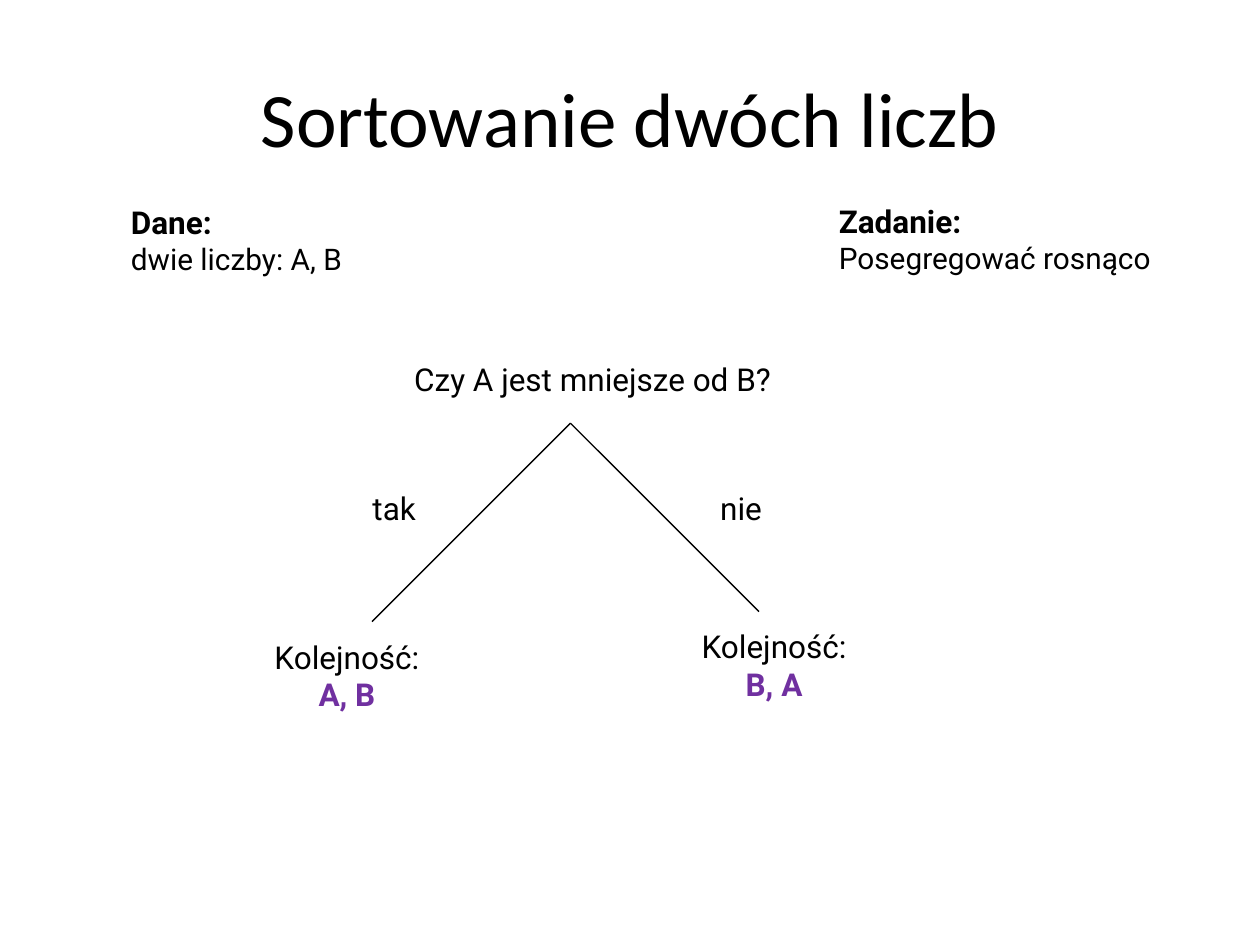
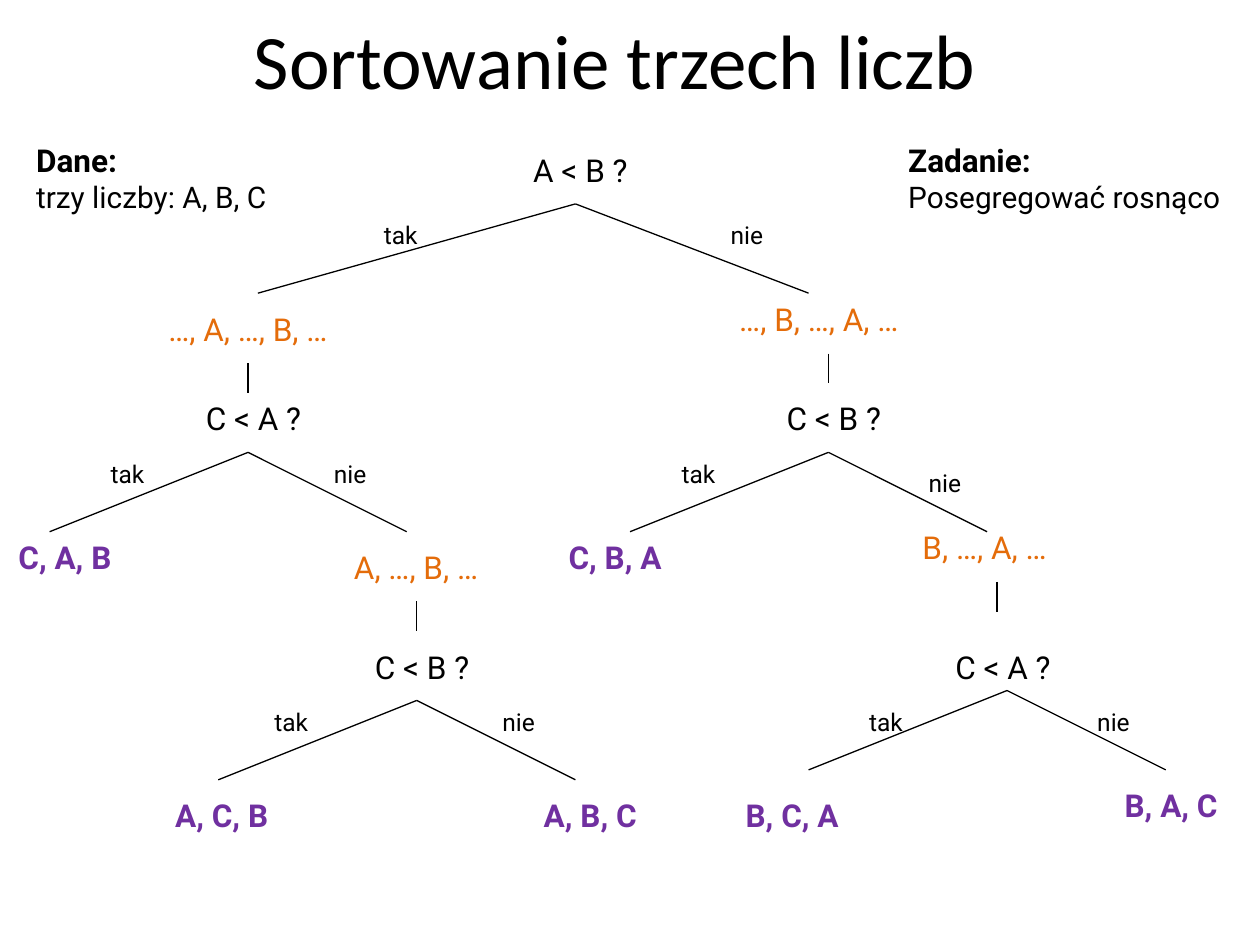
"""Build two slides with decision trees for sorting two and three numbers."""
from dataclasses import dataclass

from lxml import etree
from pptx import Presentation
from pptx.dml.color import RGBColor
from pptx.enum.shapes import MSO_CONNECTOR
from pptx.enum.text import MSO_ANCHOR, PP_ALIGN
from pptx.oxml.ns import qn
from pptx.util import Cm, Pt

STRAIGHT = MSO_CONNECTOR.STRAIGHT
MIDDLE, TOP = MSO_ANCHOR.MIDDLE, MSO_ANCHOR.TOP
LEFT, CENTER = PP_ALIGN.LEFT, PP_ALIGN.CENTER


@dataclass(frozen=True)
class Theme:
    title_font: str = "Calibri"
    body_font: str = "Roboto"
    ink: RGBColor = RGBColor(0x00, 0x00, 0x00)
    partial: RGBColor = RGBColor(0xE4, 0x6C, 0x0A)
    result: RGBColor = RGBColor(0x70, 0x30, 0xA0)
    title_size: int = 44
    body_size: int = 18
    detail_size: int = 17
    label_size: int = 14
    line_width: float = 0.75


theme = Theme()


def add_text(page, area, lines, align=LEFT, font=theme.body_font, anchor=TOP):
    box = page.shapes.add_textbox(*[Cm(length) for length in area])
    frame = box.text_frame
    frame.word_wrap = False
    frame.vertical_anchor = anchor
    frame.text = "\n".join(line[0] for line in lines)
    for para, (_, size, color, bold) in zip(frame.paragraphs, lines):
        para.alignment = align
        for span in para.runs:
            span.font.name = font
            span.font.size = Pt(size)
            span.font.color.rgb = color
            span.font.bold = bold


def add_line(page, start_x, start_y, end_x, end_y):
    line = page.shapes.add_connector(
        STRAIGHT, Cm(start_x), Cm(start_y), Cm(end_x), Cm(end_y))
    line.line.color.rgb = theme.ink
    line.line.width = Pt(theme.line_width)
    etree.SubElement(line._element.spPr, qn("a:effectLst"))


deck = Presentation()
deck.slide_width = Cm(25.4)
deck.slide_height = Cm(19.05)

headers = [
    ("Sortowanie dwóch liczb", 1.27, 0.76, [
        ("Dane:", "dwie liczby: A, B", 2.39, 3.96, 4.95),
        ("Zadanie:", "Posegregować rosnąco", 16.66, 3.94, 7.06)]),
    ("Sortowanie trzech liczb", 0.97, -0.41, [
        ("Dane:", "trzy liczby: A, B, C", 0.48, 2.72, 5.38),
        ("Zadanie:", "Posegregować rosnąco", 18.06, 2.72, 7.06)]),
]
pages = []
for title, title_left, title_top, notes in headers:
    page = deck.slides.add_slide(deck.slide_layouts[6])
    pages.append(page)
    add_text(page, (title_left, title_top, 22.86, 3.18),
             [(title, theme.title_size, theme.ink, False)],
             CENTER, theme.title_font, MIDDLE)
    for heading, detail, left, top, width in notes:
        add_text(page, (left, top, width, 1.75),
                 [(heading, theme.body_size, theme.ink, True),
                  (detail, theme.detail_size, theme.ink, False)])
two_numbers, three_numbers = pages

add_text(two_numbers, (8.1, 7.14, 8.2, 1.02),
         [("Czy A jest mniejsze od B?", theme.body_size, theme.ink, False)])
two_number_branches = [
    ("tak", 7.26, -4, 4, "A, B", 5.23, 12.73),
    ("nie", 14.27, 3.8, 3.8, "B, A", 13.84, 12.52),
]
for answer, answer_left, reach, drop, order, order_left, order_top in two_number_branches:
    add_line(two_numbers, 11.5, 8.53, 11.5 + reach, 8.53 + drop)
    add_text(two_numbers, (answer_left, 9.73, 1.42, 1.02),
             [(answer, theme.body_size, theme.ink, False)])
    add_text(two_numbers, (order_left, order_top, 3.53, 2.54),
             [("Kolejność:", theme.body_size, theme.ink, False),
              (order, theme.body_size, theme.result, True)], CENTER)

for reach in (-6.4, 4.7):
    add_line(three_numbers, 11.6, 4.11, 11.6 + reach, 5.91)
for fork_x, fork_y in [(5, 9.12), (16.7, 9.12), (8.4, 14.12), (20.3, 13.92)]:
    for reach in (-4, 3.2):
        add_line(three_numbers, fork_x, fork_y, fork_x + reach, fork_y + 1.6)
for stem_x, stem_y in [(5, 7.32), (16.7, 7.13), (8.4, 12.12), (20.1, 11.73)]:
    add_line(three_numbers, stem_x, stem_y, stem_x, stem_y + 0.6)

questions = [
    ("A < B ?", 11.7, 2.92), ("C < A ?", 5.11, 7.92), ("C < B ?", 16.81, 7.92),
    ("C < B ?", 8.51, 12.93), ("C < A ?", 20.22, 12.93),
]
partial_orders = [
    ("…, A, …, B, …", 5, 6.12), ("…, B, …, A, …", 16.51, 5.92),
    ("A, …, B, …", 8.39, 10.92), ("B, …, A, …", 19.85, 10.52),
]
final_orders = [
    ("C, A, B", 1.31, 10.72), ("C, B, A", 12.4, 10.72), ("A, C, B", 4.47, 15.93),
    ("A, B, C", 11.9, 15.93), ("B, C, A", 15.97, 15.93), ("B, A, C", 23.61, 15.72),
]
node_groups = [
    (questions, 2.44, 1.02, theme.ink, False),
    (partial_orders, 4.17, 1.02, theme.partial, False),
    (final_orders, 2.46, 1.78, theme.result, True),
]
for nodes, width, height, color, bold in node_groups:
    for text, middle, top in nodes:
        add_text(three_numbers, (middle - width / 2, top, width, height),
                 [(text, theme.body_size, color, bold)], CENTER)

answers = {
    "tak": [(7.49, 4.32), (1.98, 9.12), (13.49, 9.12), (5.28, 14.12), (17.27, 14.12)],
    "nie": [(14.48, 4.32), (6.48, 9.12), (18.47, 9.32), (9.88, 14.12), (21.87, 14.12)],
}
for answer, places in answers.items():
    for left, top in places:
        add_text(three_numbers, (left, top, 1.22, 0.86),
                 [(answer, theme.label_size, theme.ink, False)])

deck.save("out.pptx")
